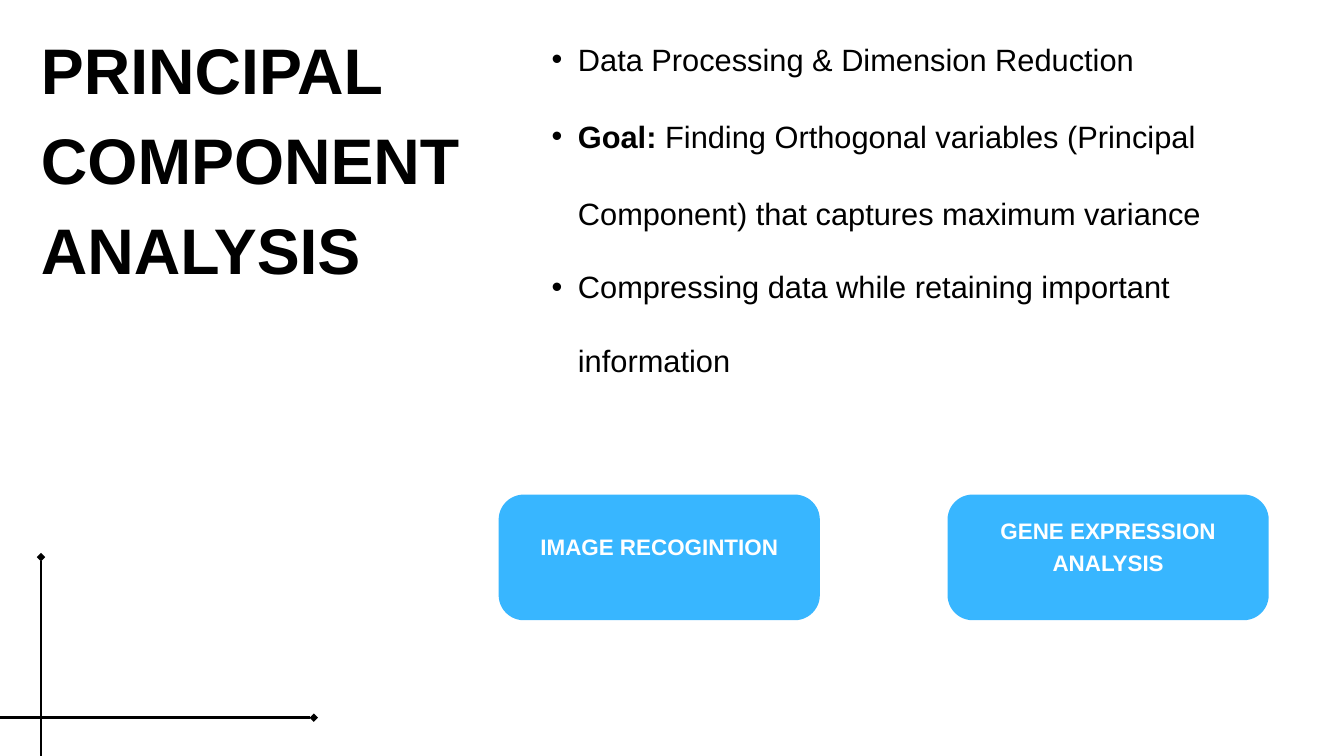
from dataclasses import dataclass

from lxml.etree import SubElement
from pptx import Presentation
from pptx.dml.color import RGBColor
from pptx.enum.shapes import MSO_CONNECTOR as Connector, MSO_SHAPE as Shape
from pptx.enum.text import MSO_ANCHOR as Anchor, MSO_AUTO_SIZE as AutoSize, PP_ALIGN as Align
from pptx.oxml.ns import qn
from pptx.util import Inches, Pt

# Content: each paragraph is a list of (text, bold) runs
TITLE = [[("PRINCIPAL COMPONENT ANALYSIS", True)]]
BULLETS = [
    [("Data Processing & Dimension Reduction", False)],
    [("Goal:", True),
     (" Finding Orthogonal variables (Principal Component) that captures maximum variance", False)],
    [("Compressing data while retaining important information", False)],
]
APPLICATIONS = ["IMAGE RECOGINTION", "GENE EXPRESSION ANALYSIS"]


@dataclass(frozen=True)
class Theme:
    font: str = "Arial"
    ink: str = "000000"
    paper: str = "FFFFFF"
    card: str = "38B6FF"
    title_size: float = 69
    body_size: float = 33
    card_size: float = 24
    line_width: float = 3


THEME = Theme()

# Layout in inches
WIDTH, HEIGHT = 20, 11.25
MARGIN = 0.61
TITLE_BOX = (MARGIN, 0.25, 9.04, 4.1)
BULLET_BOX = (7.82, 0.05, 11.83, 8.9)
BULLET_SPACING = [79.2, 82.5, 79.2]
BULLET_INDENT = 0.39
CARD_LEFT, CARD_TOP, CARD_WIDTH, CARD_HEIGHT = 7.42, 7.36, 4.78, 1.87
CARD_STEP = 6.68
CARD_PADDING, CARD_LIFT = 0.06, 0.39
AXIS_Y = 10.68
AXES = [
    ((MARGIN, 8.29), (MARGIN, 13.05)),
    ((-2.42, AXIS_Y), (4.67, AXIS_Y)),
]


def color(value):
    return RGBColor.from_string(value)


def write_text(shape, paragraphs, *, size, spacing, ink=THEME.ink, align=Align.LEFT,
               anchor=Anchor.TOP, insets=(0, 0, 0, 0), bullet_indent=None):
    """Fill a shape with paragraphs; spacing lists the line pitch of each in points."""
    frame = shape.text_frame
    frame.word_wrap = True
    frame.auto_size = AutoSize.NONE
    frame.vertical_anchor = anchor
    frame.margin_left, frame.margin_top, frame.margin_right, frame.margin_bottom = map(Inches, insets)
    for index, (runs, pitch) in enumerate(zip(paragraphs, spacing)):
        paragraph = frame.add_paragraph() if index else frame.paragraphs[0]
        paragraph.alignment = align
        paragraph.line_spacing = Pt(pitch)
        paragraph.space_before = Pt(0)
        if bullet_indent:
            properties = paragraph._p.get_or_add_pPr()
            properties.set("marL", str(Inches(2 * bullet_indent)))
            properties.set("indent", str(-Inches(bullet_indent)))
            SubElement(properties, qn("a:buFont"), typeface=THEME.font)
            SubElement(properties, qn("a:buChar"), char="•")
        for text, bold in runs:
            run = paragraph.add_run()
            run.text = text
            run.font.name = THEME.font
            run.font.size = Pt(size)
            run.font.bold = bold
            run.font.color.rgb = color(ink)


def add_title(slide):
    title = slide.shapes.title
    title.left, title.top, title.width, title.height = map(Inches, TITLE_BOX)
    write_text(title, TITLE, size=THEME.title_size, spacing=[96.6])


def add_bullets(slide):
    box = slide.shapes.add_textbox(*map(Inches, BULLET_BOX))
    write_text(box, BULLETS, size=THEME.body_size, spacing=BULLET_SPACING,
               bullet_indent=BULLET_INDENT)


def add_card(slide, column, label):
    card = slide.shapes.add_shape(
        Shape.ROUNDED_RECTANGLE, Inches(CARD_LEFT + column * CARD_STEP), Inches(CARD_TOP),
        Inches(CARD_WIDTH), Inches(CARD_HEIGHT))
    card.adjustments[0] = 0.2
    card.shadow.inherit = False
    card.fill.solid()
    card.fill.fore_color.rgb = color(THEME.card)
    card.line.fill.background()
    # The extra bottom inset lifts the label above the middle
    write_text(card, [[(label, True)]], size=THEME.card_size, spacing=[33.6], ink=THEME.paper,
               align=Align.CENTER, anchor=Anchor.MIDDLE,
               insets=(CARD_PADDING, CARD_PADDING, CARD_PADDING, CARD_PADDING + CARD_LIFT))


def add_axis(slide, start, end):
    axis = slide.shapes.add_connector(Connector.STRAIGHT, *map(Inches, start + end))
    axis.line.color.rgb = color(THEME.ink)
    axis.line.width = Pt(THEME.line_width)
    line = axis.line._get_or_add_ln()
    for tip in ("a:headEnd", "a:tailEnd"):
        SubElement(line, qn(tip), type="diamond")
    SubElement(axis._element.spPr, qn("a:effectLst"))


def main():
    presentation = Presentation()
    presentation.slide_width, presentation.slide_height = Inches(WIDTH), Inches(HEIGHT)
    slide = presentation.slides.add_slide(presentation.slide_layouts.get_by_name("Title Only"))
    slide.background.fill.solid()
    slide.background.fill.fore_color.rgb = color(THEME.paper)

    # Heading and key points
    add_title(slide)
    add_bullets(slide)

    # Application cards
    for column, label in enumerate(APPLICATIONS):
        add_card(slide, column, label)

    # Crossed axes in the corner
    for start, end in AXES:
        add_axis(slide, start, end)

    presentation.save("out.pptx")


if __name__ == "__main__":
    main()
